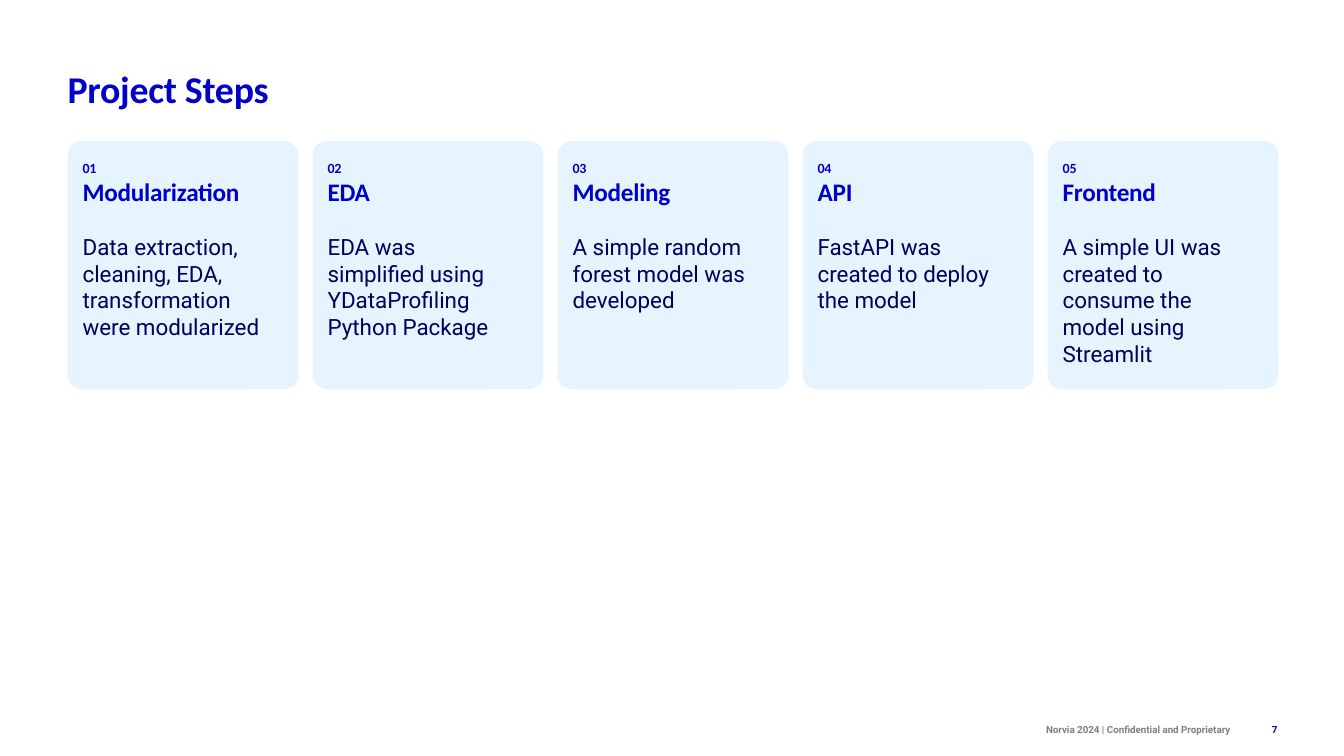
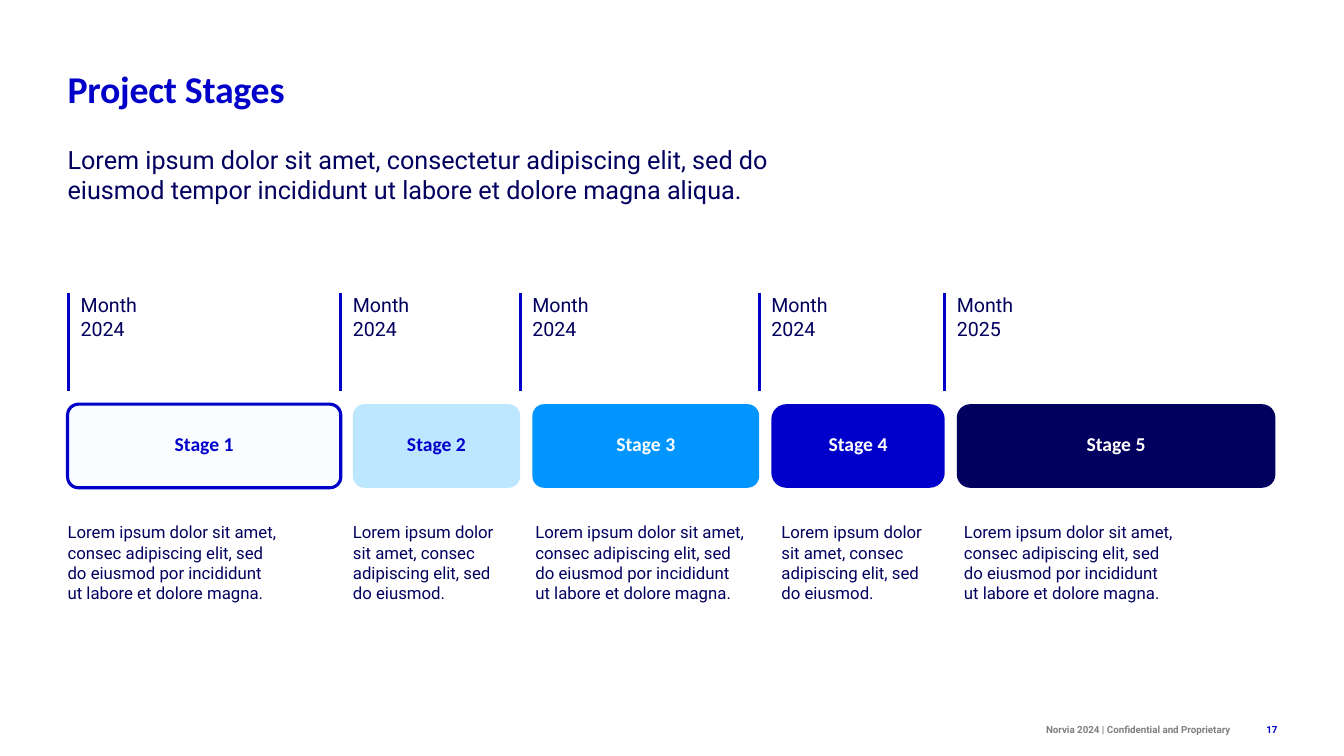
from dataclasses import dataclass, replace

from lxml import etree
from pptx import Presentation
from pptx.dml import color
from pptx.enum import shapes, text
from pptx.oxml import ns
from pptx import util as u

PX = 9144
LEFT, ANCHOR = text.PP_ALIGN.LEFT, text.MSO_ANCHOR


@dataclass(frozen=True)
class Style:
    """Look of one kind of text."""
    size: int
    font: str
    ink: str
    bold: bool = False
    align: int = LEFT
    leading: int = 0
    tracking: int = 0


class Theme:
    """Colours and type styles shared by the slides."""
    WHITE, GREY = "FFFFFF", "808080"
    BLUE, ROYAL, NAVY = "0000C9", "0000CA", "02005E"
    CARD, ICE, SKY, AZURE = "0098FF", "F9FDFF", "BDE7FF", "0095FF"
    TITLE = Style(27, "Calibri", BLUE, True, leading=28, tracking=-20)
    HEADING = Style(18, "Calibri", BLUE, True, tracking=-20)
    NUMBER = replace(HEADING, size=10)
    STAGE = Style(14, "Calibri", WHITE, True, text.PP_ALIGN.CENTER, leading=14)
    LEAD = Style(18, "Roboto", NAVY)
    BODY = replace(LEAD, size=16)
    DATE = replace(LEAD, size=14)
    NOTE = replace(LEAD, size=12)
    FOOTER = Style(7, "Roboto", GREY, True, text.PP_ALIGN.RIGHT)
    FOLIO = replace(FOOTER, ink=BLUE)


@dataclass(frozen=True)
class Stage:
    """One phase of the timeline."""
    width: int
    corner: float
    fill: str
    ink: str
    year: str
    note: str
    note_left: int
    note_width: int


class Deck:
    """Presentation with its theme and current slide."""

    def __init__(self, theme):
        """Open an empty wide deck."""
        self.theme = theme
        self.deck = Presentation()
        self.deck.slide_width, self.deck.slide_height = 1333 * PX, 750 * PX
        self.page = None

    def add_page(self, title, number):
        """Start a slide with its title, footer and page number."""
        self.page = self.deck.slides.add_slide(self.deck.slide_layouts[6])
        self.label((972, 713, 258, 22), [("Norvia 2024 | Confidential and Proprietary", self.theme.FOOTER)],
                   ANCHOR.BOTTOM, (10, 5, 10, 5))
        self.label((1142, 713, 125, 17), [(number, self.theme.FOLIO)], ANCHOR.BOTTOM)
        self.label((67, 71, 449, 39), [(title, self.theme.TITLE)])

    def set_lines(self, frame, lines, anchor, inset=(0, 0, 0, 0)):
        """Fill a text frame with (wording, style) lines."""
        frame.word_wrap = True
        frame.vertical_anchor = anchor
        frame.margin_left, frame.margin_top, frame.margin_right, frame.margin_bottom = (
            side * PX for side in inset)
        frame.text = "\n".join(wording for wording, _ in lines)
        for para, (_, style) in zip(frame.paragraphs, lines):
            para.alignment = style.align
            if style.leading:
                para.line_spacing = u.Pt(style.leading)
            for span in para.runs:
                span.font.name, span.font.size, span.font.bold = style.font, u.Pt(style.size), style.bold
                span.font.color.rgb = color.RGBColor.from_string(style.ink)
                if style.tracking:
                    span._r.get_or_add_rPr().set("spc", str(style.tracking))

    def label(self, at, lines, anchor=ANCHOR.TOP, inset=(0, 0, 0, 0)):
        """Add a text box."""
        box = self.page.shapes.add_textbox(*(n * PX for n in at))
        self.set_lines(box.text_frame, lines, anchor, inset)

    def panel(self, at, corner, fill, opacity=100, outline=None, lines=()):
        """Add a rounded panel with optional outline and centred text."""
        box = self.page.shapes.add_shape(shapes.MSO_SHAPE.ROUNDED_RECTANGLE, *(n * PX for n in at))
        box.adjustments[0] = corner
        box.shadow.inherit = False
        box.fill.solid()
        box.fill.fore_color.rgb = color.RGBColor.from_string(fill)
        if opacity < 100:
            tint = box._element.spPr.find(ns.qn("a:solidFill"))[0]
            etree.SubElement(tint, ns.qn("a:alpha"), val=str(opacity * 1000))
        if outline:
            box.line.color.rgb = color.RGBColor.from_string(outline)
            box.line.width = u.Pt(2.25)
        else:
            box.line.fill.background()
        if lines:
            self.set_lines(box.text_frame, lines, ANCHOR.MIDDLE)

    def marker(self, x, top, bottom):
        """Add a vertical date marker."""
        line = self.page.shapes.add_connector(
            shapes.MSO_CONNECTOR.STRAIGHT, x * PX, bottom * PX, x * PX, top * PX)
        line.line.color.rgb = color.RGBColor.from_string(self.theme.BLUE)
        line.line.width = u.Pt(2.25)
        etree.SubElement(line._element.spPr, ns.qn("a:effectLst"))


STEPS = [
    ("Modularization", "Data extraction, cleaning, EDA, transformation were modularized"),
    ("EDA", "EDA was simplified using YDataProfiling Python Package"),
    ("Modeling", "A simple random forest model was developed"),
    ("API", "FastAPI was created to deploy the model"),
    ("Frontend", "A simple UI was created to consume the model using Streamlit"),
]
SHORT = "Lorem ipsum dolor sit amet, consec adipiscing elit, sed do eiusmod."
LONG = "Lorem ipsum dolor sit amet, consec adipiscing elit, sed do eiusmod por incididunt ut labore et dolore magna."
STAGES = [
    Stage(271, 0.13, Theme.ICE, Theme.ROYAL, "2024", LONG, 67, 208),
    Stage(166, 0.14, Theme.SKY, Theme.ROYAL, "2024", SHORT, 350, 141),
    Stage(225, 0.14, Theme.AZURE, Theme.WHITE, "2024", LONG, 531, 208),
    Stage(172, 0.18, Theme.ROYAL, Theme.WHITE, "2024", SHORT, 775, 141),
    Stage(316, 0.16, Theme.NAVY, Theme.WHITE, "2025", LONG, 956, 208),
]


def steps_page(deck):
    """Build the row of step cards."""
    theme = deck.theme
    deck.add_page("Project Steps", "7")
    for index, (name, detail) in enumerate(STEPS):
        left = 67 + 243 * index
        deck.panel((left, 140, 229, 246), 0.06, theme.CARD, opacity=10)
        deck.label((left, 133, 229, 77), [(f"{index + 1:02}", theme.NUMBER), (name, theme.HEADING)],
                   inset=(15, 25, 10, 5))
        deck.label((left + 15, 231, 177, 135), [(detail, theme.BODY)])


def stages_page(deck):
    """Build the timeline of stages."""
    theme, left, gap = deck.theme, 67, 12
    deck.add_page("Project Stages", "17")
    deck.label((67, 143, 718, 61), [(
        "Lorem ipsum dolor sit amet, consectetur adipiscing elit, sed do eiusmod tempor "
        "incididunt ut labore et dolore magna aliqua.", theme.LEAD)])
    for index, stage in enumerate(STAGES):
        marker = left - gap if index else left + 1
        deck.panel((left, 401, stage.width, 83), stage.corner, stage.fill,
                   outline=None if index else theme.BLUE,
                   lines=[(f"Stage {index + 1}", replace(theme.STAGE, ink=stage.ink))])
        deck.marker(marker, 291, 388)
        deck.label((marker + gap, 291, 107, 47), [("Month", theme.DATE), (stage.year, theme.DATE)])
        deck.label((stage.note_left, 518, stage.note_width, 81), [(stage.note, theme.NOTE)])
        left += stage.width + gap


def main():
    """Build and save the deck."""
    deck = Deck(Theme)
    steps_page(deck)
    stages_page(deck)
    deck.deck.save("out.pptx")


if __name__ == "__main__":
    main()
